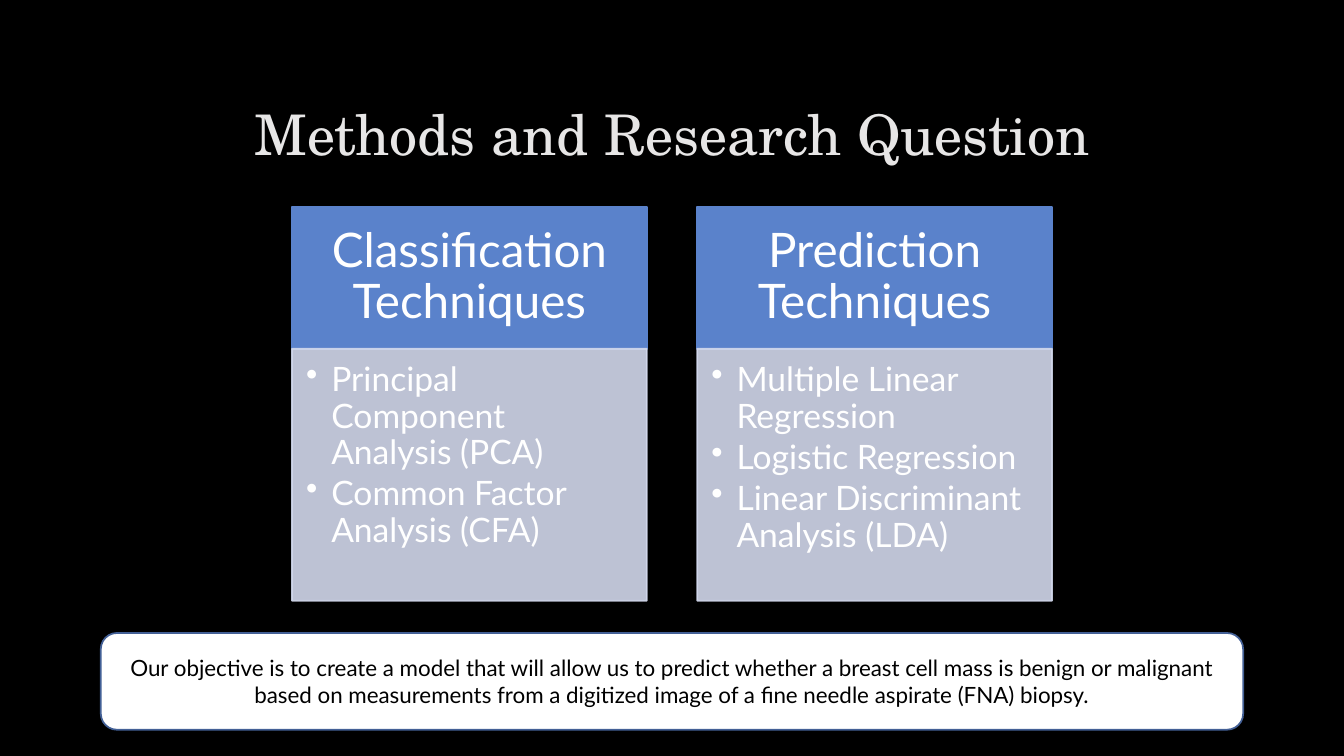
from dataclasses import dataclass

from lxml import etree
from pptx import Presentation
from pptx.dml.color import RGBColor
from pptx.enum import shapes, text
from pptx.oxml import ns
from pptx.util import Emu, Inches, Pt

# Grid of square cells over the slide
COLUMNS, ROWS = 160, 90
SLIDE_WIDTH, SLIDE_HEIGHT = Inches(13.33), Inches(7.5)

# Layout in columns and rows
MARGIN = 12
CONTENT_WIDTH = COLUMNS - 2 * MARGIN
CARD_WIDTH, CARD_GAP = 42.24, 6
CARDS_TOP, HEADING_HEIGHT, METHODS_HEIGHT = 24.6, 16.92, 30

SANS, SERIF = "Lato", "TeX Gyre Schola"
WHITE, BLUE, PALE_BLUE = "FFFFFF", "5A82CB", "D2D8EC"


@dataclass
class Box:
    left: float
    top: float
    width: float
    height: float

    def lengths(self) -> list[Emu]:
        across, down = SLIDE_WIDTH / COLUMNS, SLIDE_HEIGHT / ROWS
        return [Emu(round(self.left * across)), Emu(round(self.top * down)),
                Emu(round(self.width * across)), Emu(round(self.height * down))]


@dataclass
class Card:
    heading: str
    methods: list[str]


CARDS = [
    Card("Classification Techniques",
         ["Principal Component Analysis (PCA)", "Common Factor Analysis (CFA)"]),
    Card("Prediction Techniques",
         ["Multiple Linear Regression", "Logistic Regression",
          "Linear Discriminant Analysis (LDA)"]),
]
OBJECTIVE = ("Our objective is to create a model that will allow us to predict whether "
             "a breast cell mass is benign or malignant based on measurements from "
             "a digitized image of a fine needle aspirate (FNA) biopsy.")


def colour(code: str) -> RGBColor:
    return RGBColor.from_string(code)


def add_panel(slide, kind, box: Box, fill: str, line: str, opacity: int = 100):
    panel = slide.shapes.add_shape(kind, *box.lengths())
    panel.shadow.inherit = False
    panel.fill.solid()
    panel.fill.fore_color.rgb = colour(fill)
    panel.line.color.rgb = colour(line)
    panel.line.width = Pt(1.25)
    if opacity < 100:
        for shade in panel._element.spPr.iter(ns.qn("a:srgbClr")):
            etree.SubElement(shade, ns.qn("a:alpha"), val=str(opacity * 1000))
    return panel


def write(shape, lines: list[str], size: float, ink: str, font: str = SANS,
          align=text.PP_ALIGN.CENTER, anchor=text.MSO_ANCHOR.MIDDLE,
          insets: tuple = (0.1, 0.05, 0.1, 0.05), spacing: float = 0.9, after: float = 0) -> None:
    frame = shape.text_frame
    frame.word_wrap = True
    frame.vertical_anchor = anchor
    (frame.margin_left, frame.margin_top,
     frame.margin_right, frame.margin_bottom) = map(Inches, insets)
    frame.text = "\n".join(lines)
    for paragraph in frame.paragraphs:
        paragraph.alignment = align
        paragraph.line_spacing = spacing
        paragraph.space_after = Pt(after)
        paragraph.font.name = font
        paragraph.font.size = Pt(size)
        paragraph.font.color.rgb = colour(ink)


def add_bullets(shape) -> None:
    for paragraph in shape.text_frame.paragraphs:
        properties = paragraph._p.get_or_add_pPr()
        properties.set("marL", str(Inches(0.25)))
        properties.set("indent", str(Inches(-0.25)))
        bullet = etree.Element(ns.qn("a:buChar"), char="•")
        properties.find(ns.qn("a:defRPr")).addprevious(bullet)


def add_card(slide, card: Card, left: float) -> None:
    rectangle = shapes.MSO_SHAPE.RECTANGLE
    heading = add_panel(slide, rectangle, Box(left, CARDS_TOP, CARD_WIDTH, HEADING_HEIGHT),
                        BLUE, BLUE)
    write(heading, [card.heading], 34, WHITE, insets=(0.26, 0.15, 0.26, 0.15))

    methods = add_panel(slide, rectangle,
                        Box(left, CARDS_TOP + HEADING_HEIGHT, CARD_WIDTH, METHODS_HEIGHT),
                        PALE_BLUE, PALE_BLUE, opacity=90)
    write(methods, card.methods, 24, WHITE, align=text.PP_ALIGN.LEFT,
          anchor=text.MSO_ANCHOR.TOP, insets=(0.14, 0.14, 0.19, 0.21), after=3.6)
    add_bullets(methods)


def main() -> None:
    deck = Presentation()
    deck.slide_width, deck.slide_height = SLIDE_WIDTH, SLIDE_HEIGHT
    slide = deck.slides.add_slide(deck.slide_layouts[6])
    slide.background.fill.solid()
    slide.background.fill.fore_color.rgb = colour("000000")

    # Title
    title = slide.shapes.add_textbox(*Box(MARGIN, 8, CONTENT_WIDTH, 16.6).lengths())
    write(title, ["Methods and Research Question"], 40, "E7E6E6", font=SERIF)

    # Technique cards, centred side by side
    cards_width = len(CARDS) * (CARD_WIDTH + CARD_GAP) - CARD_GAP
    first_left = (COLUMNS - cards_width) / 2
    for index, card in enumerate(CARDS):
        add_card(slide, card, first_left + index * (CARD_WIDTH + CARD_GAP))

    # Research objective
    objective = add_panel(slide, shapes.MSO_SHAPE.ROUNDED_RECTANGLE,
                          Box(MARGIN, 75.36, CONTENT_WIDTH, 11.52), WHITE, "436096")
    write(objective, [OBJECTIVE], 16, "000000", spacing=1.0)

    deck.save("out.pptx")


if __name__ == "__main__":
    main()
